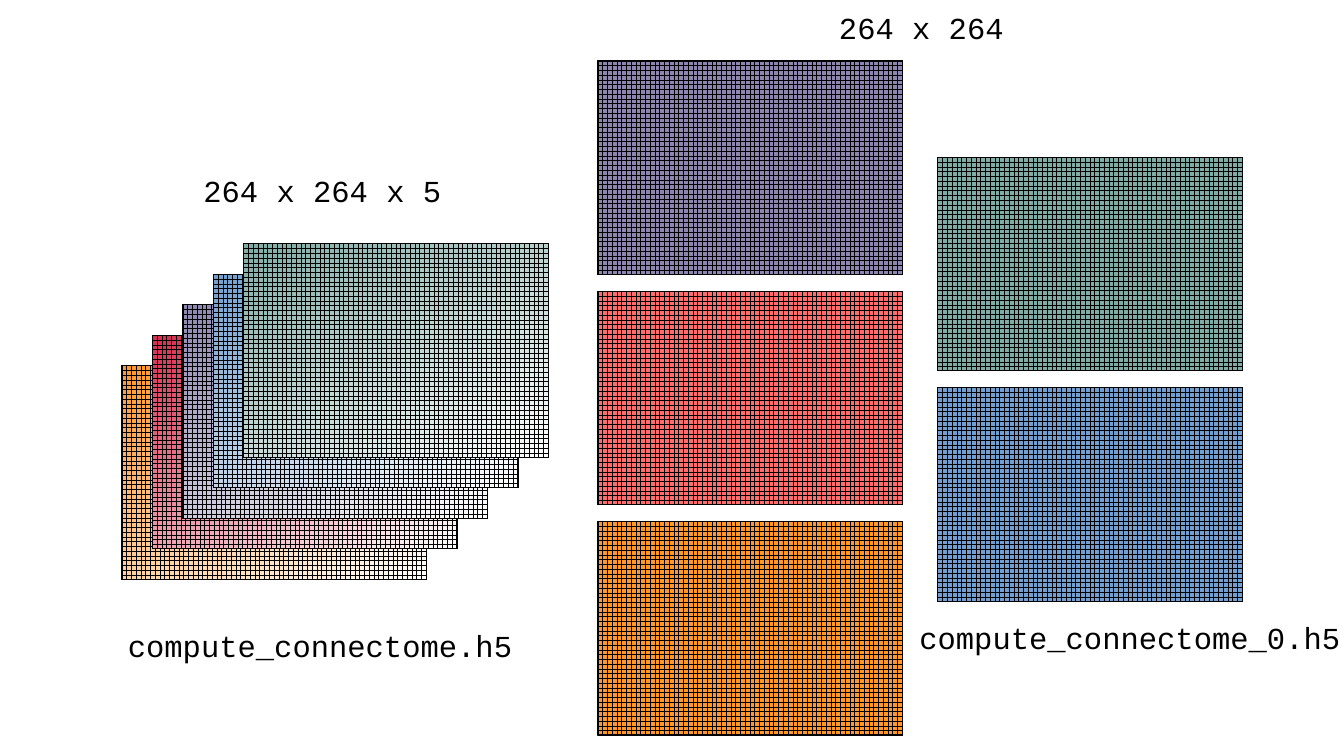
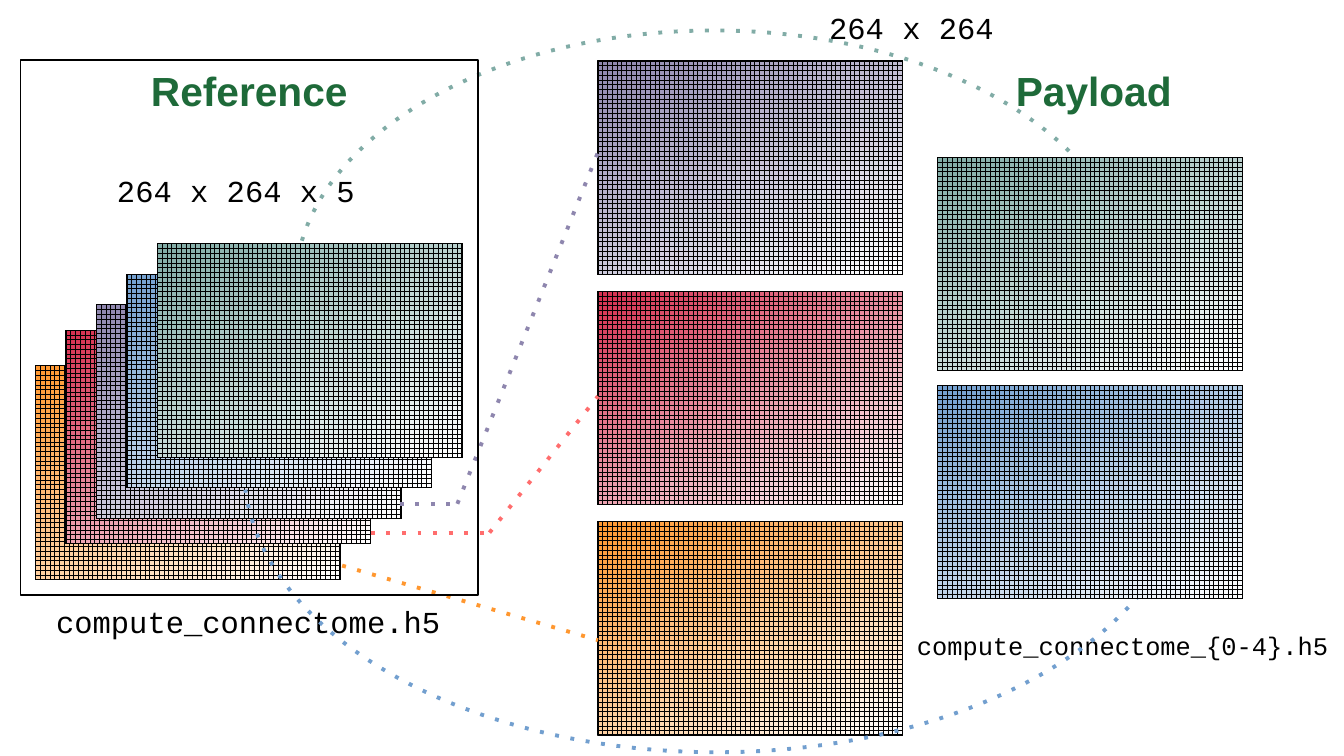
import itertools

import pptx
import pptx.dml.color
import pptx.enum.dml
import pptx.enum.shapes
import pptx.enum.text
import pptx.oxml.ns
import pptx.util
from lxml import etree

Pt = pptx.util.Pt
RGB = pptx.dml.color.RGBColor.from_string
qn = pptx.oxml.ns.qn
SHAPES = pptx.enum.shapes.MSO_SHAPE

COLORS = {
    "black": "000000",
    "white": "FFFFFF",
    "heading": "1E6A39",
    "orange": "FF972F",
    "crimson": "D62E4E",
    "red": "FF6D6D",
    "purple": "8E86AE",
    "blue": "729FCF",
    "green": "81ACA6",
}
MATRIX_WIDTH, MATRIX_HEIGHT = 180, 126
MATRIX_STEP = 136
STACK_STEP = 18
MIDDLE_LEFT, MIDDLE_TOP = 353, 36
RIGHT_LEFT, RIGHT_TOP = 553.7, 93


def add_matrix(slide, color, left, top, faded):
    """Add a coloured sheet, fading to white if faded, under a see-through grid."""
    sheet, grid = [
        slide.shapes.add_shape(SHAPES.RECTANGLE, Pt(left), Pt(top),
                               Pt(MATRIX_WIDTH), Pt(MATRIX_HEIGHT))
        for _ in range(2)
    ]
    for shape in (sheet, grid):
        shape.shadow.inherit = False
        shape.line.color.rgb = RGB(COLORS["black"])
        shape.line.width = Pt(0)

    if faded:
        sheet.fill.gradient()
        sheet.fill.gradient_angle = 300
        for stop, name in zip(sheet.fill.gradient_stops, (color, "white")):
            stop.color.rgb = RGB(COLORS[name])
    else:
        sheet.fill.solid()
        sheet.fill.fore_color.rgb = RGB(COLORS[color])

    grid.fill.patterned()
    grid.fill.pattern = pptx.enum.dml.MSO_PATTERN.LARGE_GRID
    grid.fill.fore_color.rgb = RGB(COLORS["black"])
    grid.fill.back_color.rgb = RGB(COLORS["white"])
    background = grid.element.spPr.find(".//" + qn("a:bgClr"))
    etree.SubElement(background[0], qn("a:alpha"), val="0")


def add_label(slide, text, left, top, width, size=18, heading=False):
    box = slide.shapes.add_textbox(Pt(left), Pt(top), Pt(width), Pt(34 if heading else 28))
    box.text_frame.word_wrap = False
    box.text_frame.auto_size = pptx.enum.text.MSO_AUTO_SIZE.SHAPE_TO_FIT_TEXT
    paragraph = box.text_frame.paragraphs[0]
    paragraph.text = text
    paragraph.font.size = Pt(size)
    paragraph.font.name = "Arial" if heading else "Courier New"
    paragraph.font.bold = heading
    paragraph.font.color.rgb = RGB(COLORS["heading" if heading else "black"])


presentation = pptx.Presentation()
presentation.slide_width = Pt(793.44)
presentation.slide_height = Pt(446.4)
blank_layout = presentation.slide_layouts[6]
files_slide = presentation.slides.add_slide(blank_layout)
links_slide = presentation.slides.add_slide(blank_layout)

# Stacked matrices and the middle column
stack_colors = ["orange", "crimson", "purple", "blue", "green"]
for slide, stack_left, stack_tops, middle_colors, faded in [
    (files_slide, 72, [216, 198, 180, 162, 144], ["purple", "red", "orange"], False),
    (links_slide, 21, [216, 195, 180, 162, 144], ["purple", "crimson", "orange"], True),
]:
    for index, (color, top) in enumerate(zip(stack_colors, stack_tops)):
        add_matrix(slide, color, stack_left + index * STACK_STEP, top, True)
    for index, color in enumerate(middle_colors):
        add_matrix(slide, color, MIDDLE_LEFT, MIDDLE_TOP + index * MATRIX_STEP, faded)

# Labels
for slide, text, left, top, width, size in [
    (files_slide, "compute_connectome.h5", 68.4, 366.5, 242, 18),
    (files_slide, "264 x 264 x 5", 113, 98, 155, 18),
    (files_slide, "264 x 264", 488.2, 2, 111.6, 18),
    (files_slide, "compute_connectome_0.h5", 535.7, 362, 263.5, 18),
    (links_slide, "compute_connectome.h5", 26, 352.5, 242, 18),
    (links_slide, "264 x 264 x 5", 62, 98, 155, 18),
    (links_slide, "264 x 264", 482.4, 2, 111.6, 18),
    (links_slide, "compute_connectome_{0-4}.h5", 534.2, 368.6, 262.8, 15),
]:
    add_label(slide, text, left, top, width, size)

# Dotted links from the stack to the separate matrices
links = []
for color, left, top, width, height, rotation, angles in [
    ("green", 174.2, 18, 494.6, 303, 0, (111.85, 203.7)),
    ("blue", 144, 108, 558, 336.2, 180, (118.12, 214.39)),
]:
    arc = links_slide.shapes.add_shape(SHAPES.ARC, Pt(left), Pt(top), Pt(width), Pt(height))
    arc.rotation = rotation
    arc.adjustments[0], arc.adjustments[1] = angles
    arc.fill.background()
    links.append((arc, color))

for color, points in [
    ("purple", [(236, 297.5), (270, 297.5), (MIDDLE_LEFT, 90)]),
    ("red", [(219, 314.5), (289, 314.5), (MIDDLE_LEFT, 234)]),
    ("orange", [(202, 334), (MIDDLE_LEFT, 378)]),
]:
    for start, end in zip(points, itertools.islice(points, 1, None)):
        connector = links_slide.shapes.add_connector(
            pptx.enum.shapes.MSO_CONNECTOR.STRAIGHT, *map(Pt, start + end))
        links.append((connector, color))

for link, color in links:
    link.line.color.rgb = RGB(COLORS[color])
    link.line.width = Pt(2.3)
    properties = link.element.spPr
    etree.SubElement(properties.find(qn("a:ln")), qn("a:prstDash"), val="dot")
    etree.SubElement(properties, qn("a:effectLst"))

# Right column
for slide, blue_top, faded in [
    (files_slide, RIGHT_TOP + MATRIX_STEP, False),
    (links_slide, 227.5, True),
]:
    add_matrix(slide, "green", RIGHT_LEFT, RIGHT_TOP, faded)
    add_matrix(slide, "blue", RIGHT_LEFT, blue_top, faded)

# Headings and the frame around the reference file
add_label(links_slide, "Payload", 592.6, 35.3, 106.6, 24, True)
add_label(links_slide, "Reference", 82, 35.3, 130.3, 24, True)
frame = links_slide.shapes.add_shape(SHAPES.RECTANGLE, Pt(12.2), Pt(35.3), Pt(270), Pt(316))
frame.shadow.inherit = False
frame.fill.background()
frame.line.color.rgb = RGB(COLORS["black"])
frame.line.width = Pt(1)

presentation.save("out.pptx")
